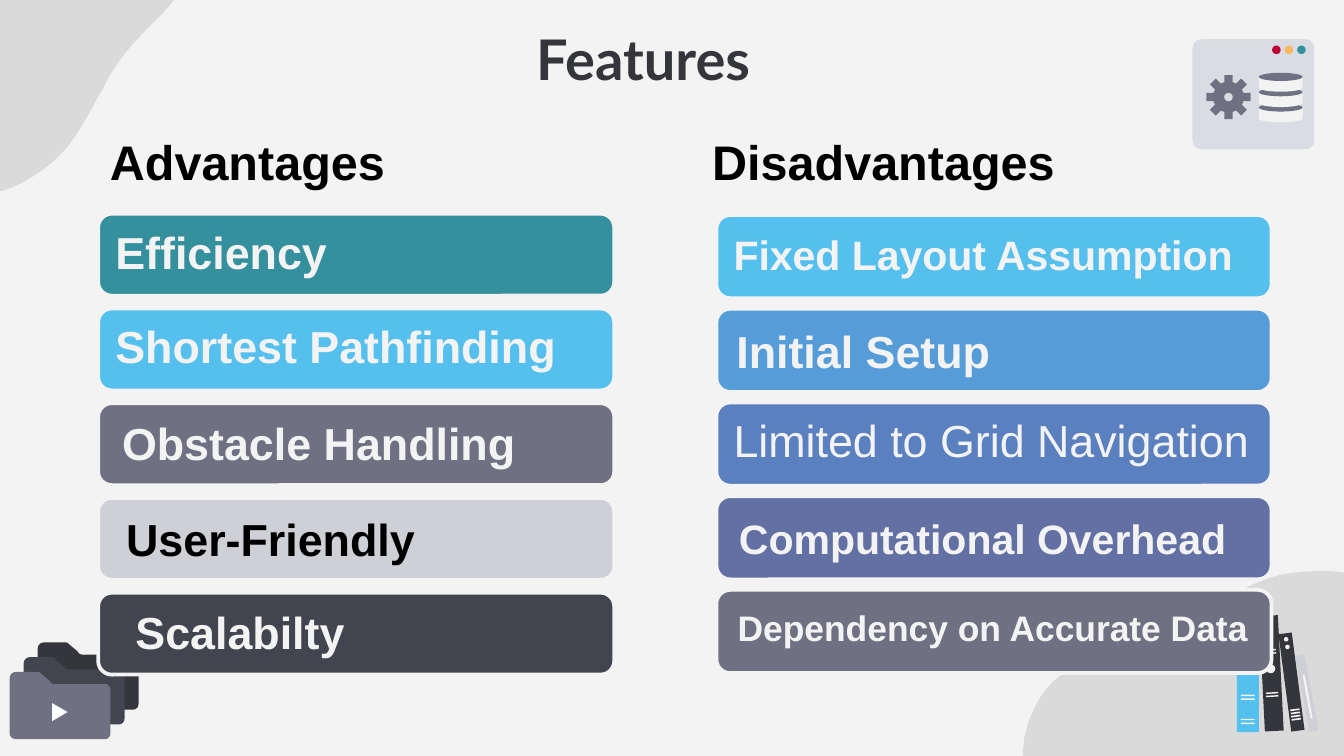
from math import cos, pi, sin

from lxml import etree
from pptx import Presentation
from pptx.dml.color import RGBColor
from pptx.enum.shapes import MSO_SHAPE
from pptx.enum.text import MSO_ANCHOR
from pptx.oxml.ns import qn
from pptx.util import Pt

RECTANGLE = MSO_SHAPE.RECTANGLE
ROUNDED = MSO_SHAPE.ROUNDED_RECTANGLE
OVAL = MSO_SHAPE.OVAL
TOP, MIDDLE = MSO_ANCHOR.TOP, MSO_ANCHOR.MIDDLE

PAPER, BLACK, INK, SLATE, GREY = "F3F3F3", "000000", "35363B", "42444F", "6F7082"
SKY, TEAL, SILVER = "55C0ED", "34909D", "CED0D6"

# Outlines: a start point, then lines (2 numbers) and Bézier curves (6 numbers).
CORNER_BOTTOM = [
    (740.9, 485.3),
    (730.1, 492.5, 714.2, 499.7, 695.5, 501.1),
    (653, 503.3, 614.2, 478.8, 582.5, 459.4),
    (550.1, 439.9, 539.3, 406.1, 555.1, 377.3),
    (558.7, 370.1, 563.8, 365, 568.8, 361.4),
    (585.4, 351.4, 607.7, 352.1, 632.9, 337),
    (637.2, 334.1, 640.8, 331.9, 644.4, 329.8),
    (648.7, 326.9, 652.3, 324, 655.9, 321.8),
    (673.2, 311, 684, 305.3, 713.5, 306),
    (753.1, 306.7, 787, 347, 785.5, 393.8),
    (784.8, 440.6, 763.2, 466.6, 763.2, 466.6),
    (763.2, 466.6, 755.3, 476.6, 740.9, 485.3),
]
CORNER_TOP = [
    (-67.7, -20.2),
    (-61.9, -31, -53.3, -42.5, -40.3, -51.8),
    (-10.1, -72, 25.9, -70.6, 55.4, -70.6),
    (84.2, -70.6, 103.7, -50.4, 102.2, -23),
    (101.5, -15.8, 100.1, -10.8, 97.2, -5.8),
    (88.6, 9.4, 72, 18, 59, 40.3),
    (56.9, 43.9, 55.4, 47.5, 53.3, 50.4),
    (51.1, 54.7, 49.7, 57.6, 47.5, 61.2),
    (38.9, 76.3, 33.1, 85.7, 12.2, 97.9),
    (-17.3, 113.8, -54.7, 100.1, -69.1, 65.5),
    (-84.2, 31, -77, 2.9, -77, 2.9),
    (-77, 2.9, -74.9, -7.9, -67.7, -20.2),
]
FOLDER = [
    (17.3, 1.4), (21.6, 5), (21.6, 5.8, 23, 6.5, 23.8, 6.5),
    (51.1, 6.5), (52.6, 6.5, 54, 7.9, 54, 9.4),
    (54, 33.1), (54, 34.6, 52.6, 36, 51.1, 36),
    (3.6, 36), (1.4, 36, 0, 34.6, 0, 33.1),
    (0, 3.6), (0, 1.4, 1.4, 0, 3.6, 0),
    (15.1, 0), (15.8, 0, 16.6, 0.7, 17.3, 1.4),
]
DISK = [(0, 0), (0, 5.8), (0, 7, 5.2, 8, 11.7, 8), (18.2, 8, 23.4, 7, 23.4, 5.8), (23.4, 0)]

# Card fill, then text, size, text colour, bold, box and line spacing of its label.
ADVANTAGES = [
    (TEAL, "Efficiency", 24, PAPER, True, (54.7, 116.6, 272.2, 39.6), 0.9),
    (SKY, "Shortest Pathfinding", 24, PAPER, True, (54.7, 167, 272.2, 39.6), 0.9),
    (GREY, "Obstacle Handling", 24, PAPER, True, (58.3, 218.9, 226.8, 36), 1),
    (SILVER, "User-Friendly", 24, BLACK, True, (60.5, 270.7, 170.6, 36), 1),
    (SLATE, "Scalabilty", 24, PAPER, True, (65.5, 320.4, 127.4, 36), 1),
]
DISADVANTAGES = [
    (SKY, "Fixed Layout Assumption", 22, PAPER, True, (385.9, 117.4, 293, 40.3), 0.9),
    ("569CD8", "Initial Setup", 24, PAPER, True, (387.4, 169.9, 151.9, 36), 1),
    ("5A80BF", "Limited to Grid Navigation", 24, PAPER, False, (385.9, 217.4, 293, 40.3), 0.9),
    ("6270A3", "Computational Overhead", 22, PAPER, True, (388.8, 271.4, 279.4, 33.8), 1),
    (GREY, "Dependency on Accurate Data", 19, PAPER, True, (388.1, 321.1, 292.3, 30.2), 1),
]


def rgb(colour):
    return RGBColor.from_string(colour)


def bezier(start, curve, steps=10):
    """Return points along a cubic Bézier curve, without its start."""
    points = [start, curve[:2], curve[2:4], curve[4:]]
    result = []
    for step in range(1, steps + 1):
        t = step / steps
        weights = ((1 - t) ** 3, 3 * t * (1 - t) ** 2, 3 * t * t * (1 - t), t ** 3)
        result.append(tuple(sum(w * p[axis] for w, p in zip(weights, points))
                            for axis in (0, 1)))
    return result


class SlideBuilder:
    """Holds the style and the current slide."""

    font = "Arial"

    def __init__(self, slide):
        self.slide = slide
        slide.background.fill.solid()
        slide.background.fill.fore_color.rgb = rgb(PAPER)

    def paint(self, shape, fill, alpha=None, line=None):
        shape.shadow.inherit = False
        shape.fill.solid()
        shape.fill.fore_color.rgb = rgb(fill)
        if alpha:
            colour = shape._element.spPr.find(qn("a:solidFill"))[0]
            etree.SubElement(colour, qn("a:alpha")).set("val", str(alpha * 1000))
        if line:
            shape.line.color.rgb = rgb(line)
            shape.line.width = Pt(2)
        else:
            shape.line.fill.background()

    def shape(self, kind, box, fill, rotation=0, line=None):
        shape = self.slide.shapes.add_shape(kind, *map(Pt, box))
        shape.rotation = rotation
        self.paint(shape, fill, line=line)
        return shape

    def outline(self, contours, fill, origin=(0, 0), alpha=None):
        """Draw closed contours made of lines and curves as one freeform."""
        builder = None
        for first, *segments in contours:
            points = [first]
            for segment in segments:
                points += bezier(points[-1], segment) if len(segment) == 6 else [segment]
            start, *rest = [(Pt(origin[0] + x), Pt(origin[1] + y)) for x, y in points]
            if builder is None:
                builder = self.slide.shapes.build_freeform(*start)
            else:
                builder.move_to(*start)
            builder.add_line_segments(rest, close=True)
        self.paint(builder.convert_to_shape(), fill, alpha)

    def text(self, text, size, colour, bold, box, spacing=1, font=None,
             anchor=MIDDLE, inset=3.6, tab=None):
        frame = self.slide.shapes.add_textbox(*map(Pt, box)).text_frame
        frame.word_wrap = True
        frame.vertical_anchor = anchor
        frame.margin_left, frame.margin_right = Pt(7.2), Pt(0)
        frame.margin_top = frame.margin_bottom = Pt(inset)
        paragraph = frame.paragraphs[0]
        paragraph.text = text
        paragraph.line_spacing = spacing
        if tab:
            tabs = etree.SubElement(paragraph._p.get_or_add_pPr(), qn("a:tabLst"))
            etree.SubElement(tabs, qn("a:tab"), pos=str(Pt(tab)), algn="l")
        paragraph.font.name = font or self.font
        paragraph.font.size = Pt(size)
        paragraph.font.bold = bold
        paragraph.font.color.rgb = rgb(colour)

    def gear(self, centre, fill, teeth=8):
        tooth = [(8, -2.2), (11.8, -2.2), (11.8, 2.2), (8, 2.2)]
        angles = [2 * pi * index / teeth for index in range(teeth)]
        rim = [(x * cos(a) - y * sin(a), x * sin(a) + y * cos(a))
               for a in angles for x, y in tooth]
        hole = [(2.3 * cos(pi * k / 10), 2.3 * sin(pi * k / 10)) for k in range(20)]
        self.outline([rim, hole], fill, centre)

    def book(self, box, fill, rotation, bands):
        self.shape(RECTANGLE, box, fill, rotation)
        for band in bands:
            self.shape(RECTANGLE, band, PAPER, rotation)

    def column(self, left, top, width, height, step, cards):
        for index, (fill, *_) in enumerate(cards):
            self.shape(ROUNDED, (left, top + index * step, width, height), fill, line=PAPER)
        for _, *label in cards:
            self.text(*label)


def main():
    presentation = Presentation()
    presentation.slide_width, presentation.slide_height = Pt(720), Pt(405)
    builder = SlideBuilder(presentation.slides.add_slide(presentation.slide_layouts[6]))

    for corner in (CORNER_BOTTOM, CORNER_TOP):
        builder.outline([corner], BLACK, alpha=10)

    for index, fill in enumerate((INK, SLATE, GREY)):
        builder.outline([FOLDER], fill, (20.2 - 7.5 * index, 344.2 + 7.9 * index))
    builder.outline([[(27.9, 376.7), (27.9, 386.4), (36.2, 381.5)]], "FFFFFF")

    window = builder.shape(ROUNDED, (638.8, 21, 65.4, 59), "D9DDE3")
    window.adjustments[0] = 0.08
    for index, fill in enumerate(("BA0034", "F8B85E", TEAL)):
        builder.shape(OVAL, (681.5 + 6.7 * index, 24.4, 4.6, 4.6), fill)
    builder.gear((658.1, 52), GREY)
    for top in (57.6, 49.4, 41.2):
        builder.outline([DISK], PAPER, (674.4, top))
        builder.shape(OVAL, (674.4, top - 2.2, 23.4, 4.4), GREY)

    builder.text("Features", 30, INK, True, (280.1, 5.8, 227.5, 45.4),
                 font="Lato", anchor=TOP, inset=7.2)

    builder.book((688.3, 339.1, 7.2, 52.6), INK, -7.5,
                 [(691.2 + 0.25 * k, 379.8 + 1.7 * k, 5, 0.9) for k in range(4)])
    builder.book((676.1, 329.8, 10.1, 61.9), INK, -2.9,
                 [(left, top, 6.6, 0.8) for left, top in
                  ((676.9, 347.8), (677.1, 349.6), (678.2, 370.9), (678.3, 372.6))])
    for left, top, size in ((687.8, 341.3, 2.4), (688.5, 345.4, 2.4), (678.4, 355.9, 4.8)):
        builder.shape(OVAL, (left, top, size, size), PAPER)
    builder.book((662.6, 334.8, 11.8, 57.4), SKY, 0,
                 [(664.8, top, 7.3, 0.8) for top in (372.2, 374.2, 385.1, 387.2)])
    builder.book((697.7, 350.8, 5, 41.2), SILVER, -10.5, [(700, 361.4, 1.2, 23.8)])

    builder.column(52.6, 114.5, 276.5, 43.9, 50.75, ADVANTAGES)
    builder.column(383.8, 115.2, 297.4, 44.6, 50.2, DISADVANTAGES)
    builder.text("Advantages\tDisadvantages", 26, BLACK, True,
                 (51.8, 67, 527.8, 38.9), tab=322.7)

    presentation.save("out.pptx")


if __name__ == "__main__":
    main()
